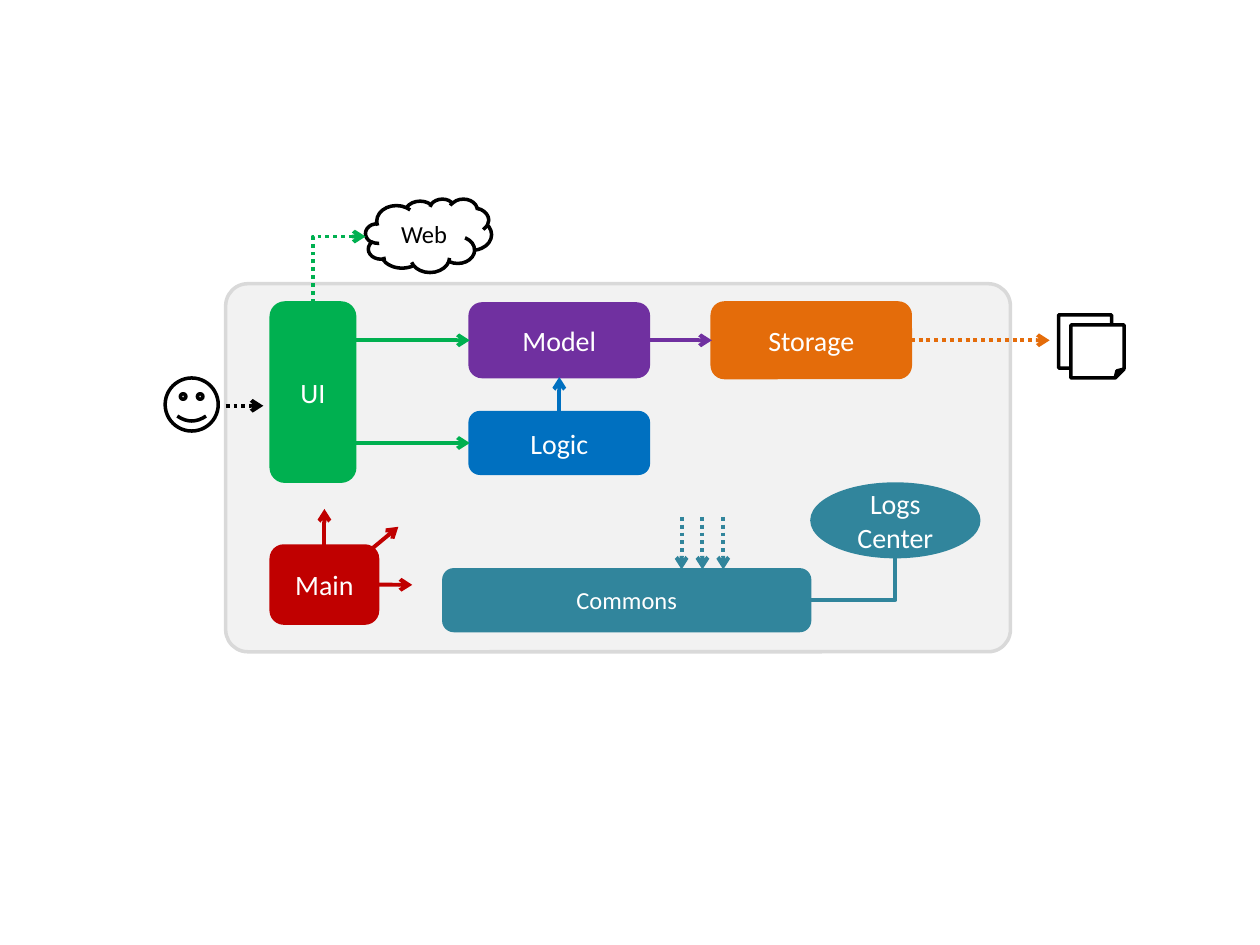
from lxml import etree
from pptx import Presentation
from pptx.dml.color import RGBColor
from pptx.enum.dml import MSO_LINE
from pptx.enum.shapes import MSO_CONNECTOR, MSO_SHAPE
from pptx.enum.text import MSO_ANCHOR, PP_ALIGN
from pptx.oxml.ns import qn
from pptx.util import Cm, Pt

ROUNDED, OVAL, CLOUD = MSO_SHAPE.ROUNDED_RECTANGLE, MSO_SHAPE.OVAL, MSO_SHAPE.CLOUD
SMILEY, PAGE = MSO_SHAPE.SMILEY_FACE, MSO_SHAPE.FOLDED_CORNER
STRAIGHT, ELBOW = MSO_CONNECTOR.STRAIGHT, MSO_CONNECTOR.ELBOW
DOTTED = MSO_LINE.ROUND_DOT  # saved as sysDot
TOP, LEFT, BOTTOM, RIGHT = range(4)

WHITE = RGBColor(0xFF, 0xFF, 0xFF)
BLACK = RGBColor(0x00, 0x00, 0x00)
PANEL_FILL = RGBColor(0xF2, 0xF2, 0xF2)
PANEL_EDGE = RGBColor(0xD9, 0xD9, 0xD9)
GREEN = RGBColor(0x00, 0xB0, 0x50)
BLUE = RGBColor(0x00, 0x70, 0xC0)
ORANGE = RGBColor(0xE4, 0x6C, 0x0A)
PURPLE = RGBColor(0x70, 0x30, 0xA0)
TEAL = RGBColor(0x31, 0x85, 0x9C)
RED = RGBColor(0xC0, 0x00, 0x00)

# Components: label, shape, (left, top, width, height) in cm, colour, text size
COMPONENTS = [
    ("UI", ROUNDED, (5.46, 6.10, 1.70, 3.61), GREEN, 16),
    ("Logic", ROUNDED, (9.47, 8.31, 3.61, 1.24), BLUE, 16),
    ("Storage", ROUNDED, (14.35, 6.10, 4.01, 1.52), ORANGE, 16),
    ("Model", ROUNDED, (9.47, 6.12, 3.61, 1.48), PURPLE, 16),
    ("Commons", ROUNDED, (8.94, 11.48, 7.39, 1.24), TEAL, 14),
    ("Main", ROUNDED, (5.46, 11.00, 2.16, 1.57), RED, 16),
    ("Logs\vCenter", OVAL, (16.36, 9.75, 3.38, 1.48), TEAL, 16),
]

# Outlined items around the application: label, shape, box in cm
SURROUNDINGS = [
    ("", SMILEY, (3.33, 7.62, 1.07, 1.07)),
    ("", PAGE, (21.34, 6.35, 1.07, 1.07)),
    ("", PAGE, (21.59, 6.55, 1.07, 1.07)),
    ("Web", CLOUD, (7.37, 4.01, 2.54, 1.48)),
]

# Arrows: start, end, colour, dotted; an end is a point in cm or (component, side)
ARROWS = [
    ((7.16, 8.93), ("Logic", LEFT), GREEN, False),
    ((7.16, 6.86), ("Model", LEFT), GREEN, False),
    (("Logic", TOP), ("Model", BOTTOM), BLUE, False),
    (("Model", RIGHT), ("Storage", LEFT), PURPLE, False),
    ((4.55, 8.18), (5.31, 8.18), BLACK, True),
    (("Storage", RIGHT), (21.16, 6.86), ORANGE, True),
    (("Main", RIGHT), (8.31, 11.79), RED, False),
    ((7.21, 11.30), (8.03, 10.62), RED, False),
    (("Main", TOP), (6.54, 10.26), RED, False),
]
# Three dotted arrows entering Commons
COMMONS_X, COMMONS_STEP = 13.74, 0.42
ARROWS += [((COMMONS_X + i * COMMONS_STEP, 10.42),
            (COMMONS_X + i * COMMONS_STEP, 11.48), TEAL, True) for i in range(3)]

presentation = Presentation()
presentation.slide_width, presentation.slide_height = Cm(25.4), Cm(19.05)
slide = presentation.slides.add_slide(presentation.slide_layouts[6])


def write_text(shape, text, size=16, color=WHITE, font="Calibri"):
    frame = shape.text_frame
    frame.word_wrap = True
    frame.vertical_anchor = MSO_ANCHOR.MIDDLE
    paragraph = frame.paragraphs[0]
    paragraph.text = text
    paragraph.alignment = PP_ALIGN.CENTER
    for run in paragraph.runs:
        run.font.name, run.font.size = font, Pt(size)
        run.font.color.rgb = color


def add_block(kind, box, fill, edge, edge_width):
    shape = slide.shapes.add_shape(kind, *(Cm(v) for v in box))
    shape.shadow.inherit = False
    shape.fill.solid()
    shape.fill.fore_color.rgb = fill
    shape.line.color.rgb = edge
    shape.line.width = Pt(edge_width)
    return shape


def style_line(line, color, dotted, arrow):
    line.line.color.rgb = color
    line.line.width = Pt(2.25)
    if dotted:
        line.line.dash_style = DOTTED
    if arrow:
        etree.SubElement(line.line._get_or_add_ln(), qn("a:tailEnd"), type="arrow")
    etree.SubElement(line._element.spPr, qn("a:effectLst"))


def add_arrow(start, end, color, dotted):
    def point(place):
        return (0, 0) if isinstance(place[0], str) else (Cm(place[0]), Cm(place[1]))

    line = slide.shapes.add_connector(STRAIGHT, *point(start), *point(end))
    for place, join in ((start, line.begin_connect), (end, line.end_connect)):
        if isinstance(place[0], str):
            join(blocks[place[0]], place[1])
    style_line(line, color, dotted, True)


def add_corner(start, end, color, dotted, arrow):
    """One-bend connector that leaves vertically and arrives horizontally."""
    (x1, y1), (x2, y2) = start, end
    width, height = abs(y2 - y1), abs(x2 - x1)  # before the quarter turn
    left, top = (x1 + x2 - width) / 2, (y1 + y2 - height) / 2
    line = slide.shapes.add_connector(
        ELBOW, Cm(left), Cm(top), Cm(left + width), Cm(top + height))
    line._element.spPr.find(qn("a:prstGeom")).set("prst", "bentConnector2")
    transform = line._element.spPr.find(qn("a:xfrm"))
    transform.set("rot", "5400000")
    if y2 < y1:
        transform.set("flipH", "1")
    if x2 > x1:
        transform.set("flipV", "1")
    style_line(line, color, dotted, arrow)


# Application boundary
panel = add_block(ROUNDED, (4.55, 5.72, 15.82, 7.42), PANEL_FILL, PANEL_EDGE, 2)
panel.adjustments[0] = 0.06

# Components and surroundings
blocks = {}
for label, kind, box, color, size in COMPONENTS:
    blocks[label] = add_block(kind, box, color, color, 1.5)
    write_text(blocks[label], label, size=size)
for label, kind, box in SURROUNDINGS:
    item = add_block(kind, box, WHITE, BLACK, 2)
    if label:
        write_text(item, label, size=14, color=BLACK)

# Connections
for arrow in ARROWS:
    add_arrow(*arrow)
add_corner((6.31, 6.10), (7.37, 4.77), GREEN, dotted=True, arrow=True)
add_corner((18.05, 11.23), (16.33, 12.10), TEAL, dotted=False, arrow=False)

presentation.save("out.pptx")
